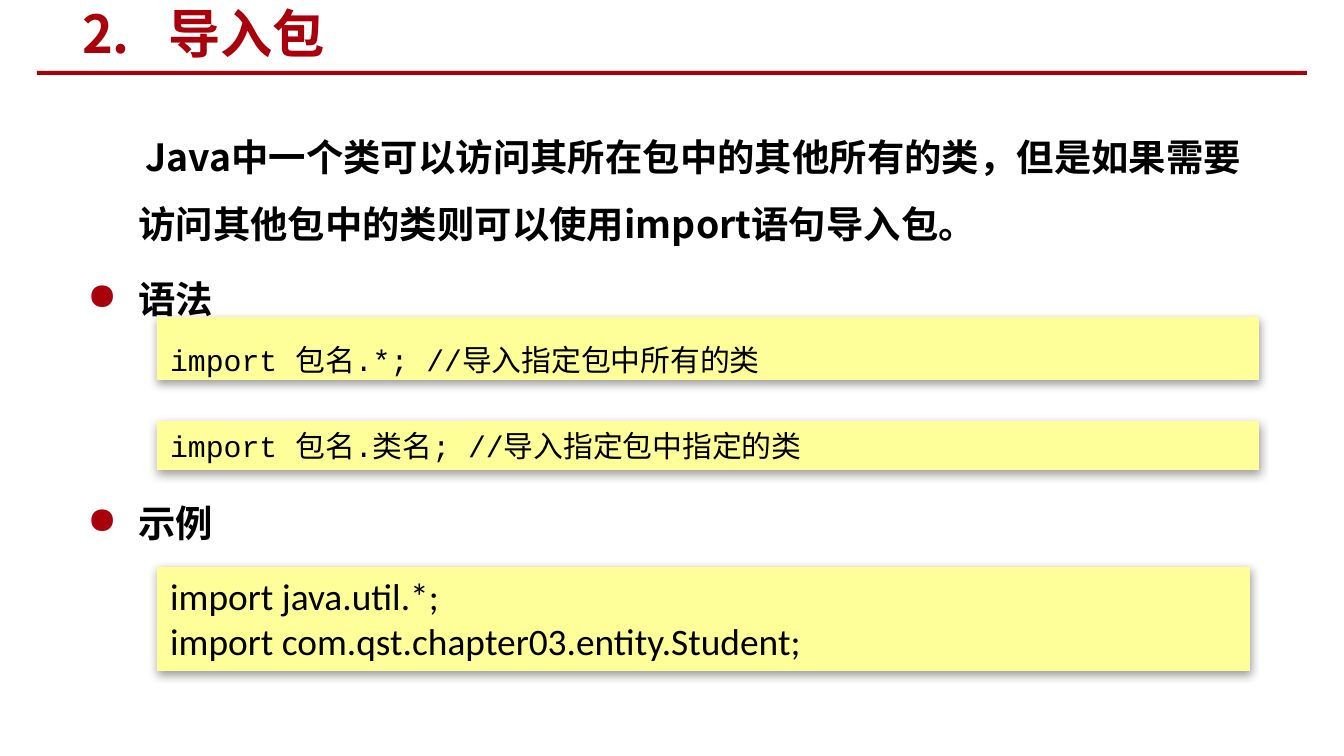
import lxml.etree
import pptx
import pptx.dml.color
import pptx.enum.shapes
import pptx.enum.text
import pptx.oxml.ns
import pptx.util

SCALE = 914400 / 134.4
COLORS = {"accent": "AA000B", "code": "FFFF99", "text": "000000"}
CJK_FONT = "Noto Sans CJK SC"


def px(length):
    return round(length * SCALE)


def rgb(name):
    return pptx.dml.color.RGBColor.from_string(COLORS[name])


def add_element(parent, tag, **attributes):
    return lxml.etree.SubElement(parent, pptx.oxml.ns.qn(tag), attributes)


def add_run(paragraph, text, size, font=CJK_FONT, color="text", bold=False):
    run = paragraph.add_run()
    run.text = text
    run.font.size = pptx.util.Pt(size)
    run.font.name = font
    run.font.bold = bold
    run.font.color.rgb = rgb(color)
    add_element(run.font._element, "a:ea", typeface=CJK_FONT)


def add_text_frame(slide, box):
    frame = slide.shapes.add_textbox(*map(px, box)).text_frame
    frame.word_wrap = True
    return frame


def add_rectangle(slide, box, color):
    shape = slide.shapes.add_shape(
        pptx.enum.shapes.MSO_SHAPE.RECTANGLE, *map(px, box))
    shape.fill.solid()
    shape.fill.fore_color.rgb = rgb(color)
    shape.line.fill.background()
    shape.shadow.inherit = False
    return shape


def add_header(slide, box):
    left, top, width, height = box
    add_rectangle(slide, (left, top + height - 4, width, 4), "accent")
    frame = add_text_frame(slide, (left + 32, top, 712, 60))
    frame.vertical_anchor = pptx.enum.text.MSO_ANCHOR.MIDDLE
    paragraph = frame.paragraphs[0]
    tabs = add_element(paragraph._p.get_or_add_pPr(), "a:tabLst")
    add_element(tabs, "a:tab", pos=str(px(86)), algn="l")
    add_run(paragraph, "2.\t导入包", 28, color="accent", bold=True)


def add_body(slide, box):
    frame = add_text_frame(slide, box)
    items = [
        ("Java中一个类可以访问其所在包中的其他所有的类，但是如果需要"
         "访问其他包中的类则可以使用import语句导入包。", 0, False),
        ("语法", 4, True),
        ("示例", 84, True),
    ]
    for index, (text, space, bullet) in enumerate(items):
        paragraph = frame.add_paragraph() if index else frame.paragraphs[0]
        properties = paragraph._p.get_or_add_pPr()
        properties.set("marL", str(px(51)))
        properties.set("indent", str(px(-51 if bullet else 7)))
        if bullet:
            bullet_color = add_element(properties, "a:buClr")
            add_element(bullet_color, "a:srgbClr", val=COLORS["accent"])
            add_element(properties, "a:buChar", char="●")
        paragraph.line_spacing = 1.5
        paragraph.space_before = pptx.util.Pt(space)
        add_run(paragraph, text, 20, bold=True)


def add_code_box(slide, box, lines, size, font, spacing=1.0):
    shape = add_rectangle(slide, box, "code")
    effects = shape._element.spPr.find(pptx.oxml.ns.qn("a:effectLst"))
    shadow = add_element(
        effects, "a:outerShdw", blurRad=str(pptx.util.Pt(5)),
        dist=str(pptx.util.Pt(1.6)), dir="5400000", rotWithShape="0")
    shadow_color = add_element(shadow, "a:srgbClr", val=COLORS["text"])
    add_element(shadow_color, "a:alpha", val="38000")
    frame = shape.text_frame
    frame.word_wrap = True
    frame.vertical_anchor = pptx.enum.text.MSO_ANCHOR.TOP
    for index, line in enumerate(lines):
        paragraph = frame.add_paragraph() if index else frame.paragraphs[0]
        paragraph.alignment = pptx.enum.text.PP_ALIGN.LEFT
        paragraph.line_spacing = spacing
        add_run(paragraph, line, size, font)


def main():
    presentation = pptx.Presentation()
    presentation.slide_width = px(1344)
    presentation.slide_height = px(756)
    slide = presentation.slides.add_slide(presentation.slide_layouts[6])
    add_header(slide, (37, 3, 1270, 72))
    add_body(slide, (74, 105, 1207, 630))
    add_code_box(slide, (157, 317, 1102, 63),
                 ["import 包名.*; //导入指定包中所有的类"], 16, "Courier New", 1.5)
    add_code_box(slide, (157, 421, 1102, 49),
                 ["import 包名.类名; //导入指定包中指定的类"], 16, "Courier New")
    add_code_box(slide, (157, 567, 1093, 104),
                 ["import java.util.*;", "import com.qst.chapter03.entity.Student;"],
                 20, "Calibri")
    presentation.save("out.pptx")


if __name__ == "__main__":
    main()
